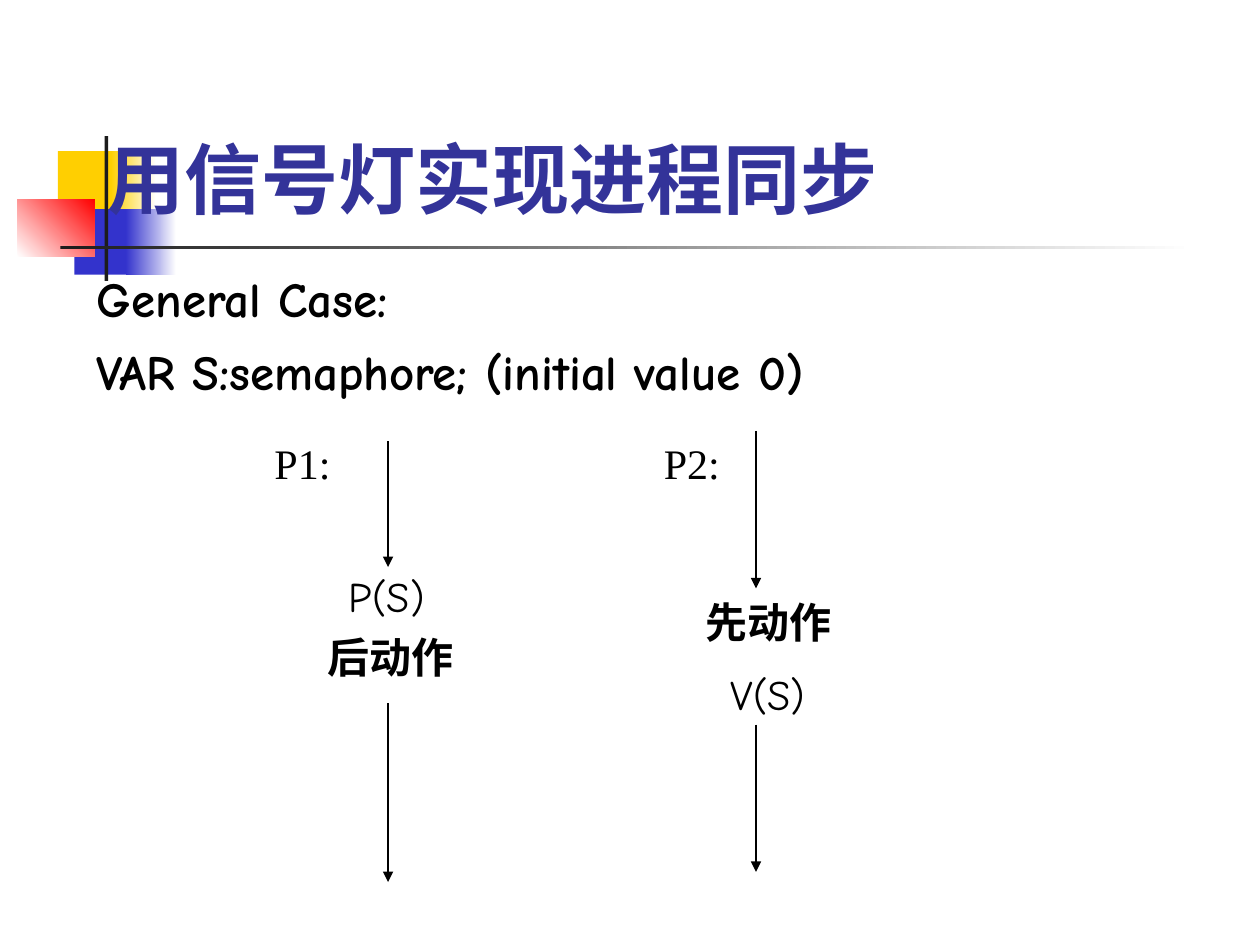
from lxml import etree
from pptx import Presentation
from pptx.dml.color import RGBColor
from pptx.enum.shapes import MSO_CONNECTOR, MSO_SHAPE
from pptx.enum.text import MSO_ANCHOR, MSO_AUTO_SIZE, PP_ALIGN
from pptx.oxml.ns import qn
from pptx.util import Inches, Pt

RECTANGLE = MSO_SHAPE.RECTANGLE
STRAIGHT = MSO_CONNECTOR.STRAIGHT
BOTTOM = MSO_ANCHOR.BOTTOM
NO_AUTOFIT = MSO_AUTO_SIZE.NONE
LEFT = PP_ALIGN.LEFT
TITLE_ONLY = 5
COMIC = "Comic Neue"
TIMES = "Times New Roman"


def color(value):
    return RGBColor.from_string(value)


def write(paragraph, text, font=COMIC, size=24, bold=False, fill="000000",
          before=0, spacing=1.0, indent=0):
    paragraph.alignment = LEFT
    paragraph.space_before = Pt(before)
    paragraph.line_spacing = spacing
    if indent:
        properties = paragraph._p.get_or_add_pPr()
        properties.set("marL", str(Inches(indent)))
        properties.set("indent", "0")
    run = paragraph.add_run()
    run.text = text
    run.font.name = font
    run.font.size = Pt(size)
    run.font.bold = bold
    run.font.color.rgb = color(fill)


presentation = Presentation()
presentation.slide_width = Inches(10)
presentation.slide_height = Inches(7.5)
slide = presentation.slides.add_slide(presentation.slide_layouts[TITLE_ONLY])
shapes = slide.shapes

# Decorative blocks and rules: left, top, width, height, colours, angle
decorations = [
    (0.46, 1.2, 0.48, 0.52, ["FFCF01"], 0),
    (0.88, 1.2, 0.36, 0.52, ["FFCF01", "FFFFFF"], 0),
    (0.59, 1.66, 0.46, 0.52, ["3333CC"], 0),
    (1, 1.66, 0.4, 0.52, ["3333CC", "FFFFFF"], 0),
    (0.14, 1.58, 0.61, 0.46, ["FFFFFF", "FF0000"], 45),
    (0.83, 1.08, 0.03, 1.15, ["1C1C1C"], 0),
    (0.48, 1.95, 9, 0.03, ["1C1C1C", "FFFFFF"], 0),
]
for left, top, width, height, colors, angle in decorations:
    block = shapes.add_shape(RECTANGLE, Inches(left), Inches(top),
                             Inches(width), Inches(height))
    block.shadow.inherit = False
    block.line.fill.background()
    if len(colors) == 1:
        block.fill.solid()
        block.fill.fore_color.rgb = color(colors[0])
    else:
        block.fill.gradient()
        block.fill.gradient_angle = angle
        for position, (stop, value) in enumerate(
                zip(block.fill.gradient_stops, colors)):
            stop.position = position
            stop.color.rgb = color(value)

# Title, in front of the decoration
title = shapes.title
title.left, title.top = Inches(0.75), Inches(0.58)
title.width, title.height = Inches(8.5), Inches(1.25)
title.text_frame.vertical_anchor = BOTTOM
title.text_frame.auto_size = NO_AUTOFIT
write(title.text_frame.paragraphs[0], "用信号灯实现进程同步",
      font="Lato", size=44, bold=True, fill="333399")
shapes.element.append(title._element)

# Process arrows: x, start y, end y
arrows = [(3.08, 3.5, 4.5), (3.08, 5.58, 7), (6, 3.42, 4.67), (6, 5.75, 6.92)]
for x, start, end in arrows:
    arrow = shapes.add_connector(STRAIGHT, Inches(x), Inches(start),
                                 Inches(x), Inches(end))
    arrow.line.color.rgb = color("000000")
    arrow.line.width = Pt(0.75)
    etree.SubElement(arrow.line._get_or_add_ln(), qn("a:tailEnd"), type="triangle")
    etree.SubElement(arrow._element.spPr, qn("a:effectLst"))

# Text boxes: left, top, width, height, paragraphs with their format
heading = dict(size=28, bold=True, before=17.5)
first_step = dict(before=6)
second_step = dict(before=15, spacing=0.9)
label = dict(font=TIMES, before=15)
text_boxes = [
    (0.67, 2.08, 8.75, 1.14, [
        ("General Case:", heading),
        ("VAR S:semaphore; (initial value 0)", dict(heading, spacing=0.7))]),
    (2.5, 4.48, 1.25, 0.99, [
        ("P(S)", dict(first_step, indent=0.17)),
        ("后动作", dict(first_step, bold=True))]),
    (5.5, 4.73, 1.25, 1.03, [
        ("先动作", dict(second_step, bold=True)),
        ("V(S)", dict(second_step, indent=0.2))]),
    (2.08, 3.42, 0.75, 0.5, [("P1:", label)]),
    (5.17, 3.42, 0.75, 0.5, [("P2:", label)]),
]
for left, top, width, height, lines in text_boxes:
    box = shapes.add_textbox(Inches(left), Inches(top),
                             Inches(width), Inches(height))
    frame = box.text_frame
    frame.word_wrap = True
    for number, (text, style) in enumerate(lines):
        paragraph = frame.add_paragraph() if number else frame.paragraphs[0]
        write(paragraph, text, **style)

presentation.save("out.pptx")
